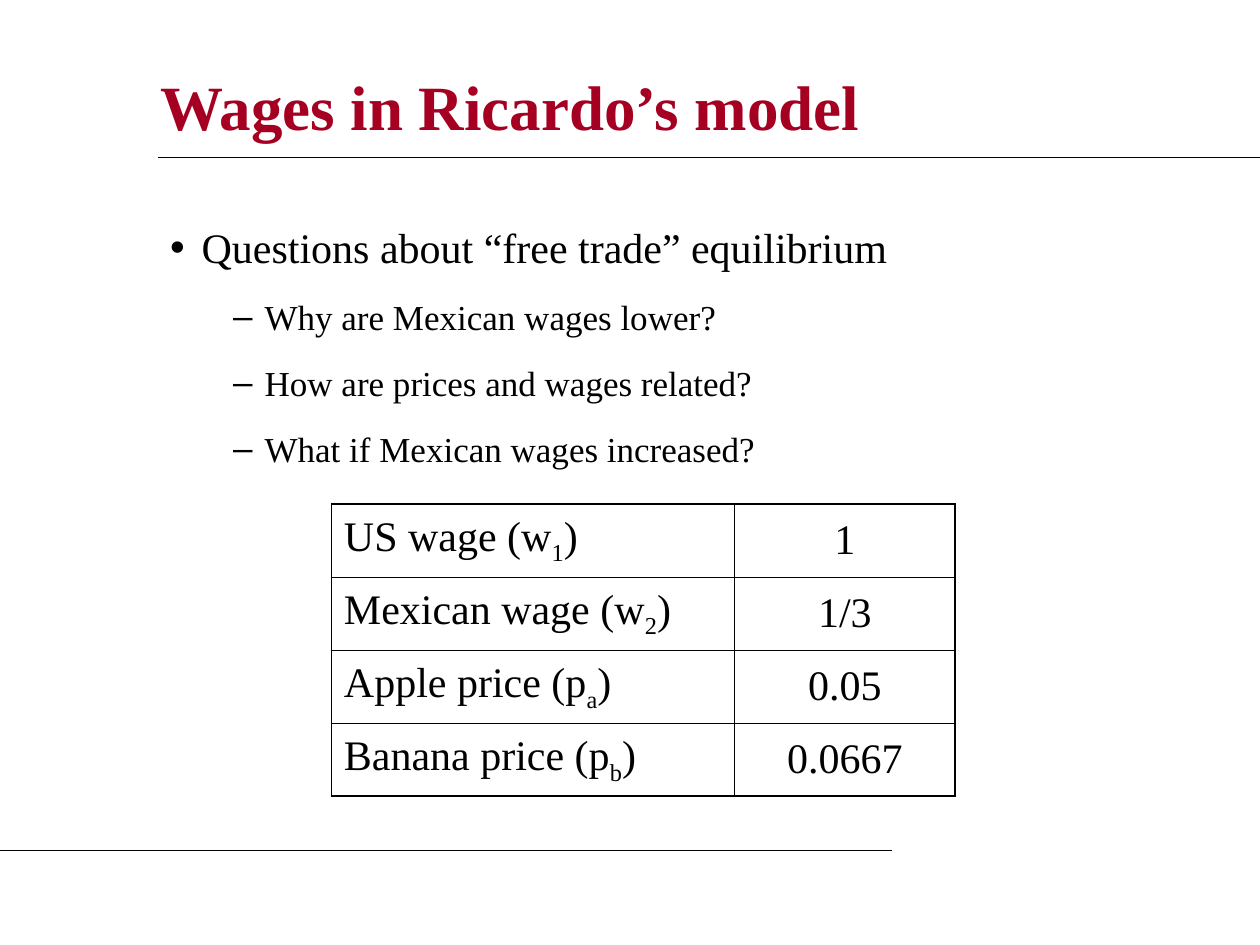
from lxml import etree
from pptx import Presentation
from pptx.dml.color import RGBColor
from pptx.enum.shapes import MSO_CONNECTOR
from pptx.enum.text import MSO_ANCHOR, MSO_AUTO_SIZE, PP_ALIGN
from pptx.oxml.ns import qn
from pptx.util import Inches, Pt

LEFT, CENTER = PP_ALIGN.LEFT, PP_ALIGN.CENTER
TOP, MIDDLE = MSO_ANCHOR.TOP, MSO_ANCHOR.MIDDLE
NONE = MSO_AUTO_SIZE.NONE
STRAIGHT = MSO_CONNECTOR.STRAIGHT


def color(code):
    return RGBColor.from_string(code)


class Deck:
    font = "Times New Roman"
    ink = "000000"
    red = "A50021"

    def __init__(self):
        self.prs = Presentation()
        self.prs.slide_width, self.prs.slide_height = Inches(10), Inches(7.5)
        self.slide = self.prs.slides.add_slide(self.prs.slide_layouts[1])

    def run(self, para, text, size, code=None, bold=False, base=0):
        run = para.add_run()
        run.text = text
        font = run.font
        font.name, font.size, font.bold = self.font, Pt(size), bold
        font.color.rgb = color(code or self.ink)
        if base:
            font._element.set("baseline", str(base * 1000))

    def place(self, shape, box, anchor):
        shape.left, shape.top, shape.width, shape.height = map(Inches, box)
        frame = shape.text_frame
        frame.word_wrap, frame.auto_size = True, NONE
        frame.vertical_anchor = anchor
        return frame

    def title(self, text, box):
        para = self.place(self.slide.shapes.title, box, MIDDLE).paragraphs[0]
        para.alignment = LEFT
        self.run(para, text, 36, self.red, True)

    def list(self, items, box):
        frame = self.place(self.slide.placeholders[1], box, TOP)
        frame.margin_top = Inches(0.09)
        for i, (level, text) in enumerate(items):
            para = frame.paragraphs[0] if i == 0 else frame.add_paragraph()
            para.level = level
            para.space_before = Pt(13.5 if i else 0)
            props = para._p.get_or_add_pPr()
            props.set("marL", str(Inches(0.5 + level * 0.5)))
            props.set("indent", str(Inches(-0.25)))
            mark = etree.SubElement(props, qn("a:buChar"))
            mark.set("char", "•–"[level])
            self.run(para, text, 24 - 4 * level)

    def line(self, start, end):
        line = self.slide.shapes.add_connector(
            STRAIGHT, *map(Inches, start + end))
        line.line.color.rgb = color(self.ink)
        line.line.width = Pt(0.75)
        etree.SubElement(line._element.spPr, qn("a:effectLst"))

    def edge(self, cell, outer):
        props = cell._tc.get_or_add_tcPr()
        for i, side in enumerate("LRTB"):
            line = etree.Element(qn("a:ln" + side))
            line.set("w", str(Pt(1.08 if side in outer else 0.45)))
            fill = etree.SubElement(line, qn("a:solidFill"))
            etree.SubElement(fill, qn("a:srgbClr")).set("val", self.ink)
            props.insert(i, line)

    def table(self, rows, spot, widths, height):
        size = (sum(widths), height * len(rows))
        table = self.slide.shapes.add_table(
            len(rows), len(widths), *map(Inches, spot + size)).table
        table.first_row = table.horz_banding = False
        for col, width in zip(table.columns, widths):
            col.width = Inches(width)
        last = len(rows) - 1
        for i, (name, sub, value) in enumerate(rows):
            rim = "T" * (i == 0) + "B" * (i == last)
            label, number = table.cell(i, 0), table.cell(i, 1)
            for cell, side in ((label, "L"), (number, "R")):
                cell.fill.background()
                cell.vertical_anchor = MIDDLE
                self.edge(cell, rim + side)
            para = label.text_frame.paragraphs[0]
            self.run(para, name, 24)
            self.run(para, sub, 24, base=-25)
            self.run(para, ")", 24)
            para = number.text_frame.paragraphs[0]
            para.alignment = CENTER
            self.run(para, value, 24)


def main():
    deck = Deck()
    deck.title("Wages in Ricardo’s model", (1.17, 0.46, 8.08, 0.75))
    deck.line((1.25, 1.25), (10, 1.25))
    deck.line((0, 6.75), (7.08, 6.75))
    deck.list([
        (0, "Questions about “free trade” equilibrium"),
        (1, "Why are Mexican wages lower?"),
        (1, "How are prices and wages related?"),
        (1, "What if Mexican wages increased?"),
    ], (1, 1.67, 8.08, 2.02))
    deck.table([
        ("US wage (w", "1", "1"),
        ("Mexican wage (w", "2", "1/3"),
        ("Apple price (p", "a", "0.05"),
        ("Banana price (p", "b", "0.0667"),
    ], (2.63, 4), (3.2, 1.75), 0.58)
    deck.prs.save("out.pptx")


if __name__ == "__main__":
    main()
